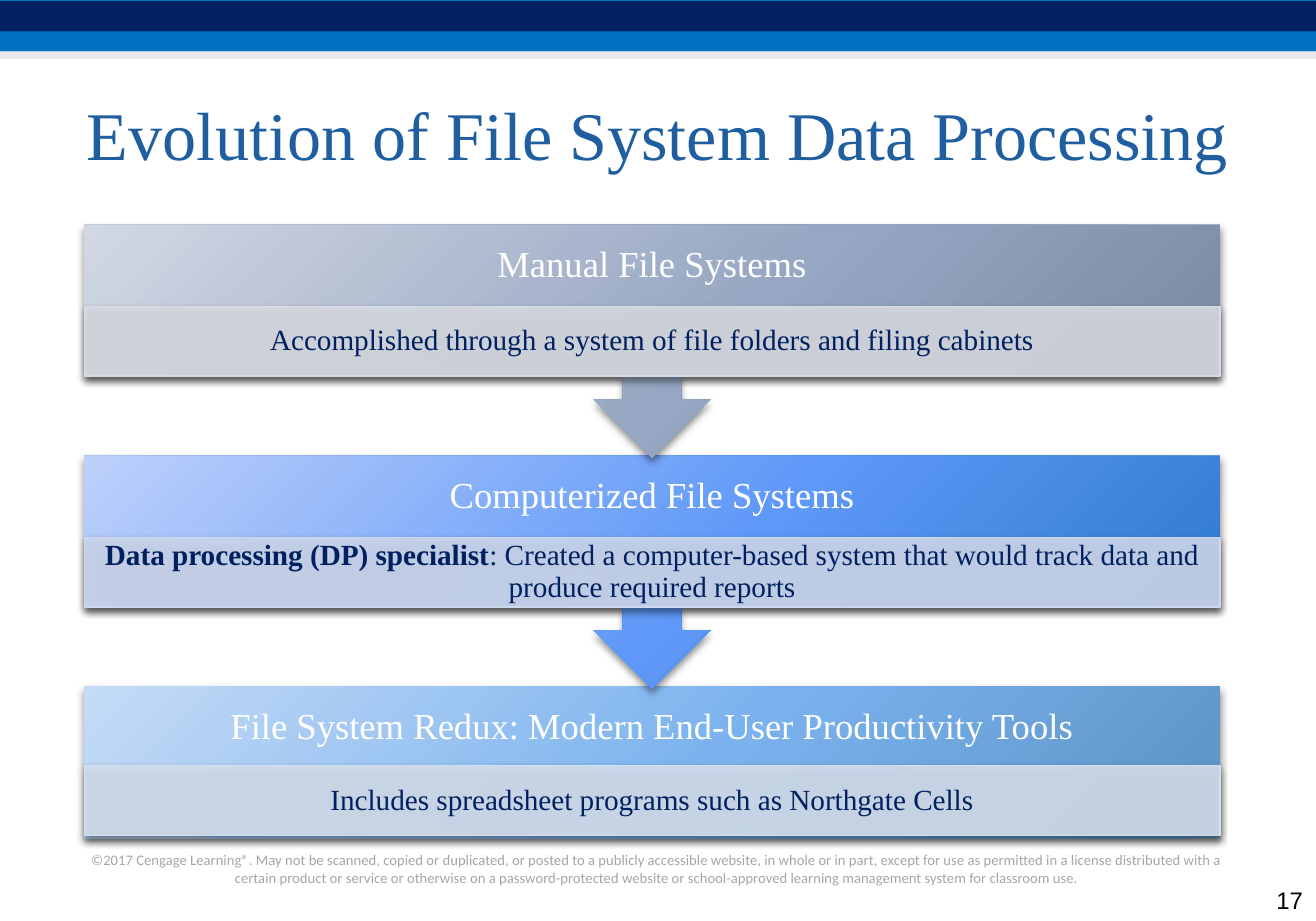
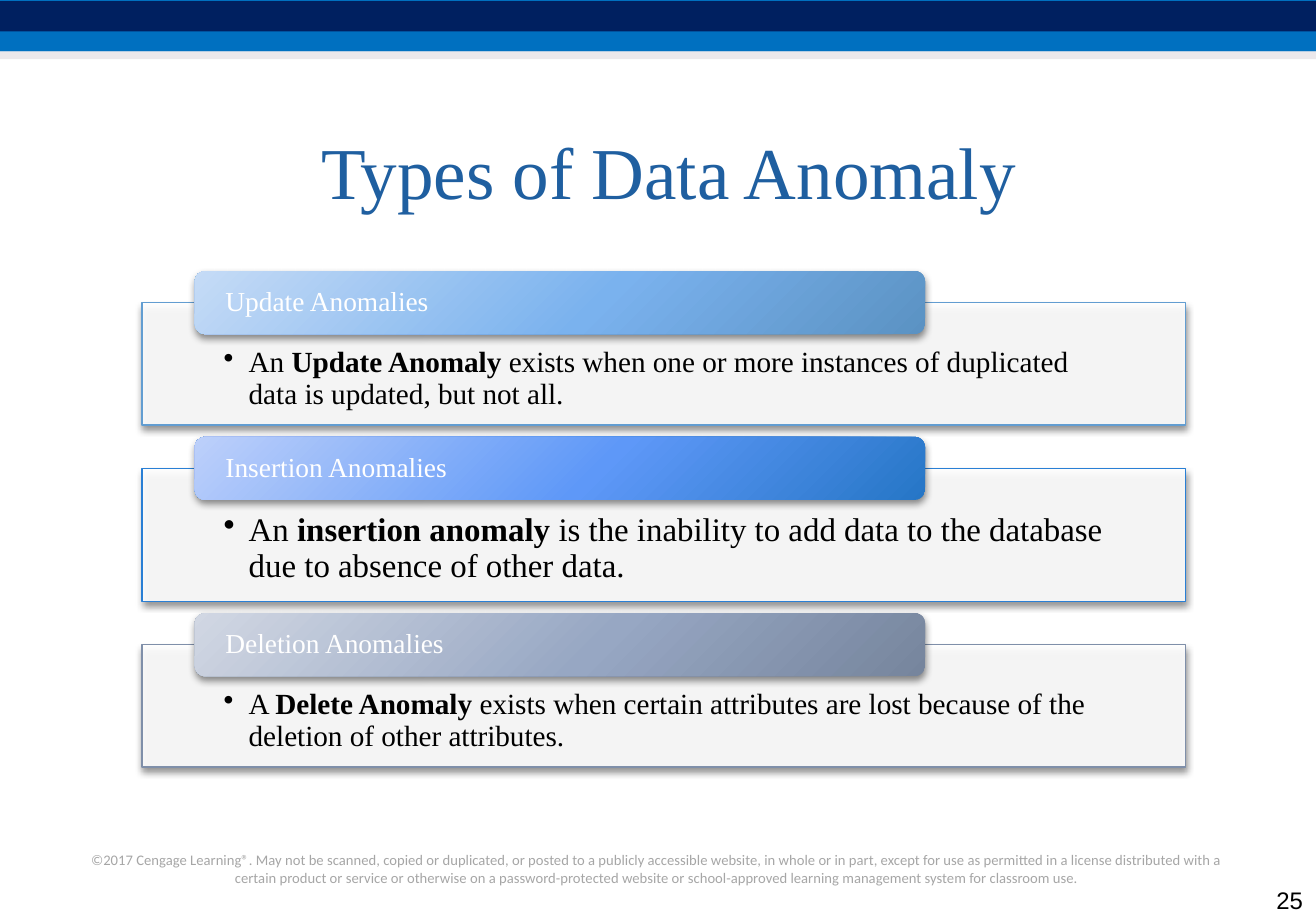
from pptx import Presentation
from pptx.dml.color import RGBColor
from pptx.enum.shapes import MSO_SHAPE
from pptx.enum.text import MSO_ANCHOR, MSO_AUTO_SIZE, PP_ALIGN
from pptx.oxml import parse_xml
from pptx.oxml.ns import nsdecls, qn
from pptx.util import Inches, Pt

NAVY = RGBColor(0x00, 0x20, 0x60)
BLUE = RGBColor(0x00, 0x70, 0xC0)
MIST = RGBColor(0xD8, 0xD3, 0xD9)
TITLE_BLUE = RGBColor(0x1F, 0x5F, 0xA0)
FOOTER_GRAY = RGBColor(0xA6, 0xA6, 0xA6)
WHITE = RGBColor(0xFF, 0xFF, 0xFF)
BLACK = RGBColor(0x00, 0x00, 0x00)
SKY_EDGE = RGBColor(0x62, 0x9D, 0xD1)
AZURE_EDGE = RGBColor(0x29, 0x7F, 0xD5)
SLATE_EDGE = RGBColor(0x7F, 0x8F, 0xA9)
SKY_PANEL = RGBColor(0xD3, 0xDF, 0xEE)
AZURE_PANEL = RGBColor(0xCD, 0xD8, 0xEF)
SLATE_PANEL = RGBColor(0xD8, 0xDB, 0xE2)
SKY = (RGBColor(0xC5, 0xDB, 0xF6), RGBColor(0x7A, 0xB2, 0xEE), RGBColor(0x5B, 0x92, 0xC3))
AZURE = (RGBColor(0xBD, 0xD0, 0xFA), RGBColor(0x5E, 0x98, 0xF8), RGBColor(0x26, 0x76, 0xC6))
SLATE = (RGBColor(0xD1, 0xD7, 0xE3), RGBColor(0x97, 0xA7, 0xC3), RGBColor(0x76, 0x85, 0x9D))

SERIF = "Times New Roman"
COPYRIGHT = (
    "©2017 Cengage Learning®. May not be scanned, copied or duplicated, or posted to a "
    "publicly accessible website, in whole or in part, except for use as permitted in a "
    "license distributed with a certain product or service or otherwise on a "
    "password-protected website or school-approved learning management system for "
    "classroom use."
)


class SlideBuilder:
    COLUMNS, ROWS = 100, 70

    def __init__(self):
        self.deck = Presentation()
        self.deck.slide_width, self.deck.slide_height = Inches(10), Inches(7)
        self.layout = self.deck.slide_layouts[5]
        self.page = None

    def place(self, column, row, columns, rows):
        cell_width = self.deck.slide_width / self.COLUMNS
        cell_height = self.deck.slide_height / self.ROWS
        return (round(column * cell_width), round(row * cell_height),
                round(columns * cell_width), round(rows * cell_height))

    def start(self, title, size, area, number):
        first = self.page is None
        self.page = self.deck.slides.add_slide(self.layout)
        if first:
            self.furnish_layout()
        box = self.page.shapes.title
        box.left, box.top, box.width, box.height = self.place(*area)
        self.set_text(box, [(title, False)], size, TITLE_BLUE, PP_ALIGN.CENTER)
        self.text_box((95, 66.9, 5, 3.1), str(number), 13.1, "Arial", BLACK,
                      PP_ALIGN.RIGHT, MSO_ANCHOR.BOTTOM)

    def furnish_layout(self):
        furniture = [
            self.block(MSO_SHAPE.RECTANGLE, (0, 0, 100, 3.9), BLUE),
            self.block(MSO_SHAPE.RECTANGLE, (0, 0.1, 100, 2.3), NAVY),
            self.block(MSO_SHAPE.RECTANGLE, (0, 3.9, 100, 0.6), MIST, opacity=50),
            self.text_box((5.8, 64.2, 88.3, 3.7), COPYRIGHT, 8, "Calibri", FOOTER_GRAY,
                          PP_ALIGN.CENTER, MSO_ANCHOR.TOP),
        ]
        for shape in furniture:
            self.layout.shapes.element.append(shape.element)

    def block(self, kind, area, color, edge=None, opacity=100, shadow=False):
        shape = self.page.shapes.add_shape(kind, *self.place(*area))
        properties = shape.element.spPr
        if isinstance(color, tuple) and not isinstance(color, RGBColor):
            stops = "".join(
                f'<a:gs pos="{position}"><a:srgbClr val="{stop}"/></a:gs>'
                for position, stop in zip((0, 55000, 100000), color))
            properties.find(qn("a:prstGeom")).addnext(parse_xml(
                f'<a:gradFill {nsdecls("a")} rotWithShape="1"><a:gsLst>{stops}</a:gsLst>'
                '<a:path path="circle"><a:fillToRect l="-40000" t="-90000" r="140000" '
                'b="190000"/></a:path></a:gradFill>'))
        else:
            shape.fill.solid()
            shape.fill.fore_color.rgb = color
        if opacity < 100:
            for tint in properties.iter(qn("a:srgbClr")):
                tint.append(parse_xml(f'<a:alpha {nsdecls("a")} val="{opacity * 1000}"/>'))
        if edge is None:
            shape.line.fill.background()
        else:
            shape.line.color.rgb = edge
            shape.line.width = Pt(0.75)
        shape.shadow.inherit = False
        if shadow:
            properties.find(qn("a:effectLst")).append(parse_xml(
                f'<a:outerShdw {nsdecls("a")} blurRad="{Pt(4)}" dist="{Pt(2)}" '
                'dir="5400000" rotWithShape="0"><a:srgbClr val="000000">'
                '<a:alpha val="45000"/></a:srgbClr></a:outerShdw>'))
        return shape

    def text_box(self, area, text, size, font, color, align, anchor):
        box = self.page.shapes.add_textbox(*self.place(*area))
        self.set_text(box, [(text, False)], size, color, align, anchor, font=font)
        return box

    def set_text(self, shape, spans, size, color, align, anchor=MSO_ANCHOR.MIDDLE,
                 insets=(0.1, 0.05, 0.1, 0.05), spacing=1.0, font=SERIF, bullet=False):
        frame = shape.text_frame
        frame.word_wrap = True
        frame.auto_size = MSO_AUTO_SIZE.NONE
        frame.vertical_anchor = anchor
        (frame.margin_left, frame.margin_top,
         frame.margin_right, frame.margin_bottom) = map(Inches, insets)
        para = frame.paragraphs[0]
        if bullet:
            properties = next(shape.element.iter(qn("a:p"))).get_or_add_pPr()
            properties.set("marL", str(Inches(0.19)))
            properties.set("indent", str(-Inches(0.19)))
            properties.append(parse_xml(f'<a:buChar {nsdecls("a")} char="•"/>'))
        para.alignment = align
        para.line_spacing = spacing
        for text, bold in spans:
            span = para.add_run()
            span.text = text
            span.font.name = font
            span.font.size = Pt(size)
            span.font.bold = bold
            span.font.color.rgb = color

    def stage(self, row, heading, spans, gradient, panel, last):
        left, width, body = 6.4, 86.3, 11.5
        kind = MSO_SHAPE.RECTANGLE if last else MSO_SHAPE.DOWN_ARROW_CALLOUT
        header = self.block(kind, (left, row, width, body if last else 17.7),
                            gradient, shadow=True)
        self.set_text(header, [(heading, False)], 20, WHITE, PP_ALIGN.CENTER,
                      insets=(0.16, 0, 0.16, 0.53), spacing=0.9)
        detail = self.block(MSO_SHAPE.RECTANGLE,
                            (left, row + (6 if last else 6.2), width, 5.3),
                            panel, edge=panel, opacity=90, shadow=True)
        self.set_text(detail, spans, 16, NAVY, PP_ALIGN.CENTER,
                      insets=(0.12, 0.02, 0.12, 0.02), spacing=0.9)

    def card(self, row, rows, heading, spans, size, gradient, edge):
        body = self.block(MSO_SHAPE.RECTANGLE, (10.8, row, 79.3, rows), WHITE,
                          edge=edge, opacity=90, shadow=True)
        self.set_text(body, spans, size, BLACK, PP_ALIGN.LEFT, MSO_ANCHOR.TOP,
                      (0.62, 0.34, 0.62, 0.12), 0.9, bullet=True)
        tab = self.block(MSO_SHAPE.ROUNDED_RECTANGLE, (14.8, row - 2.4, 55.5, 4.8),
                         gradient, shadow=True)
        self.set_text(tab, [(heading, False)], 15, WHITE, PP_ALIGN.LEFT,
                      insets=(0.21, 0, 0.21, 0), spacing=0.9)


def build_evolution(builder):
    builder.start("Evolution of File System Data Processing", 37.3, (5, 4.7, 90, 10.9), 17)
    stages = [
        ("Manual File Systems",
         [("Accomplished through a system of file folders and filing cabinets", False)],
         SLATE, SLATE_PANEL),
        ("Computerized File Systems",
         [("Data processing (DP) specialist", True),
          (": Created a computer-based system that would track data and produce "
           "required reports", False)],
         AZURE, AZURE_PANEL),
        ("File System Redux: Modern End-User Productivity Tools",
         [("Includes spreadsheet programs such as Northgate Cells", False)],
         SKY, SKY_PANEL),
    ]
    final = len(stages) - 1
    for index, stage in reversed(list(enumerate(stages))):
        builder.stage(17.1 + 17.55 * index, *stage, last=index == final)


def build_anomalies(builder):
    builder.start("Types of Data Anomaly", 40, (5.8, 7.5, 90, 10.9), 25)
    cards = [
        (9.3, "Update Anomalies",
         [("An ", False), ("Update Anomaly", True),
          (" exists when one or more instances of duplicated data is updated, "
           "but not all.", False)],
         16, SKY, SKY_EDGE),
        (10.1, "Insertion Anomalies",
         [("An ", False), ("insertion anomaly ", True),
          ("is the inability to add data to the database due to absence of "
           "other data.", False)],
         18, AZURE, AZURE_EDGE),
        (9.3, "Deletion Anomalies",
         [("A ", False), ("Delete Anomaly", True),
          (" exists when certain attributes are lost because of the deletion of "
           "other attributes.", False)],
         16, SLATE, SLATE_EDGE),
    ]
    row, gap = 23, 3.3
    for rows, *content in cards:
        builder.card(row, rows, *content)
        row += rows + gap


def main():
    builder = SlideBuilder()
    build_evolution(builder)
    build_anomalies(builder)
    builder.deck.save("out.pptx")


if __name__ == "__main__":
    main()
